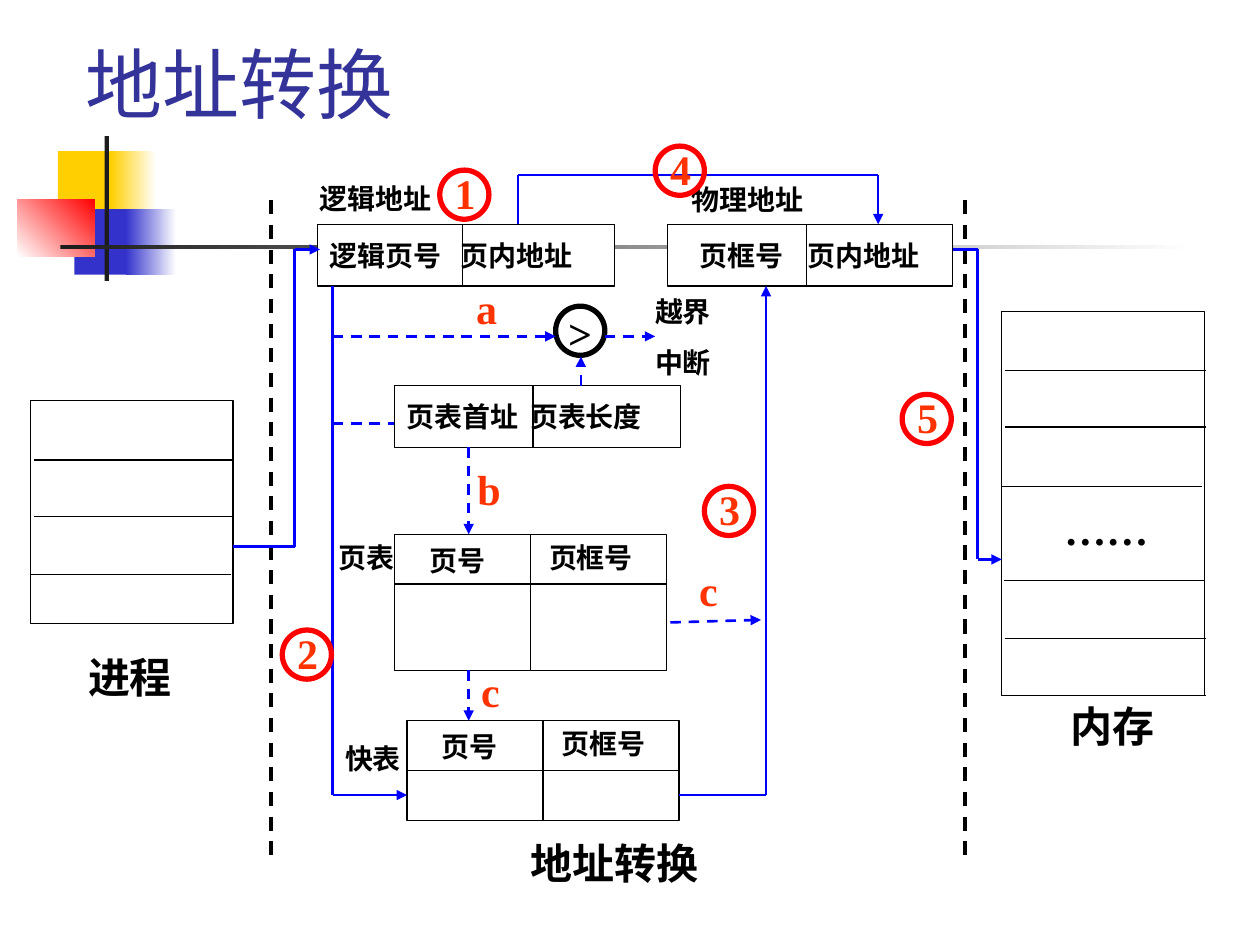
from dataclasses import dataclass

from lxml import etree
from pptx import Presentation
from pptx.dml.color import RGBColor
from pptx.enum.dml import MSO_LINE
from pptx.enum.shapes import MSO_CONNECTOR, MSO_SHAPE
from pptx.enum.text import MSO_ANCHOR, PP_ALIGN
from pptx.oxml.ns import qn
from pptx.util import Inches, Pt

RECT, OVAL = MSO_SHAPE.RECTANGLE, MSO_SHAPE.OVAL
STRAIGHT, DASH = MSO_CONNECTOR.STRAIGHT, MSO_LINE.DASH
LEFT, MIDDLE, BOTTOM = PP_ALIGN.LEFT, MSO_ANCHOR.MIDDLE, MSO_ANCHOR.BOTTOM


@dataclass(frozen=True)
class Theme:
    black: str = "000000"
    white: str = "FFFFFF"
    ink: str = "1C1C1C"
    title: str = "333399"
    yellow: str = "FFCF01"
    indigo: str = "3333CC"
    red: str = "FF0000"
    mark: str = "FF3300"
    flow: str = "0000FF"
    label_font: str = "Noto Sans CJK SC"
    mark_font: str = "Times New Roman"
    title_font: str = "Roboto"
    label_size: int = 16
    mark_size: int = 24
    title_size: int = 44
    thin: float = 0.75
    medium: float = 1.5
    border: float = 2
    ring: float = 3


THEME = Theme()


def cells(count):
    """The page is a grid of 100 columns by 75 rows with square cells."""
    return Inches(count / 10)


def rgb(value):
    return RGBColor.from_string(value)


class Page:
    def __init__(self, deck, theme):
        self.slide = deck.slides.add_slide(deck.slide_layouts[6])
        self.theme = theme

    def shape(self, col, row, width, height, fill=None, line=None,
              weight=THEME.thin, kind=RECT):
        box = self.slide.shapes.add_shape(kind, *map(cells, (col, row, width, height)))
        box.shadow.inherit = False
        if fill:
            box.fill.solid()
            box.fill.fore_color.rgb = rgb(fill)
        else:
            box.fill.background()
        if line:
            box.line.color.rgb = rgb(line)
            box.line.width = Pt(weight)
        else:
            box.line.fill.background()
        return box

    def fade(self, col, row, width, height, start, end, angle=0):
        box = self.shape(col, row, width, height)
        box.fill.gradient()
        box.fill.gradient_angle = angle
        for stop, color in zip(box.fill.gradient_stops, (start, end)):
            stop.color.rgb = rgb(color)

    def frame(self, col, row, width, height):
        return self.shape(col, row, width, height, self.theme.white, self.theme.black)

    def set_text(self, box, lines, size, font, color, bold=True, tab=None):
        box.text_frame.word_wrap = True
        for index, line in enumerate(lines):
            para = box.text_frame.paragraphs[0] if index == 0 else box.text_frame.add_paragraph()
            para.text = line
            para.alignment = LEFT
            if index:
                para.space_before = Pt(10)
            if tab:
                tabs = etree.SubElement(para._p.get_or_add_pPr(), qn("a:tabLst"))
                etree.SubElement(tabs, qn("a:tab"), pos=str(cells(tab)), algn="l")
            para.font.size, para.font.bold = Pt(size), bold
            para.font.name, para.font.color.rgb = font, rgb(color)

    def text_box(self, col, row, width, height):
        return self.slide.shapes.add_textbox(*map(cells, (col, row, width, height)))

    def title(self, text):
        box = self.text_box(5.8, 4.5, 90, 6.2)
        box.text_frame.vertical_anchor = BOTTOM
        self.set_text(box, [text], self.theme.title_size, self.theme.title_font,
                      self.theme.title, bold=False)

    def label(self, col, row, width, *lines):
        height = 3.7 + 4 * (len(lines) - 1)
        self.set_text(self.text_box(col, row, width, height), lines,
                      self.theme.label_size, self.theme.label_font, self.theme.black)

    def mark(self, col, row, text, color=THEME.mark, width=5.1):
        self.set_text(self.text_box(col, row, width, 5), [text],
                      self.theme.mark_size, self.theme.mark_font, color)

    def ring(self, col, row, text):
        self.shape(col, row, 3.9, 3.9, line=self.theme.red,
                   weight=self.theme.ring, kind=OVAL)
        self.mark(col + 0.2, row - 0.7, text)

    def route(self, *points, color=THEME.flow, weight=THEME.medium, dash=False, arrow=True):
        for begin, end in zip(points, points[1:]):
            line = self.slide.shapes.add_connector(STRAIGHT, *map(cells, begin + end))
            line.line.color.rgb = rgb(color)
            line.line.width = Pt(weight)
            if dash:
                line.line.dash_style = DASH
            if arrow and end == points[-1]:
                etree.SubElement(line.line._get_or_add_ln(), qn("a:tailEnd"), type="triangle")
            etree.SubElement(line._element.spPr, qn("a:effectLst"))

    def rule(self, begin, end):
        self.route(begin, end, color=self.theme.black, weight=self.theme.thin, arrow=False)

    def register(self, col, row, width, split, first, second, inset, tab):
        """A two-field register; its second field starts at the tab."""
        box = self.frame(col, row, width, 4.9)
        box.text_frame.vertical_anchor = MIDDLE
        box.text_frame.margin_left = cells(inset)
        self.set_text(box, [f"{first}\t{second}"], self.theme.label_size,
                      self.theme.label_font, self.theme.black, tab=tab)
        self.rule((split, row), (split, row + 4.9))

    def lookup(self, col, row, height):
        """A page lookup table with a header row and two equal columns."""
        half = 10.8
        self.frame(col, row, 2 * half, height)
        self.rule((col, row + 3.95), (col + 2 * half, row + 3.95))
        self.rule((col + half, row), (col + half, row + height))
        self.label(col + 1.8, row + 0.25, 9, "页号")
        self.label(col + half + 0.5, row, 10.3, "页框号")

    def memory(self, col, row, height, rules):
        self.frame(col, row, 16.1, height)
        for shift, level in rules:
            self.rule((col + shift, level), (col + shift + 15.9, level))


def main():
    deck = Presentation()
    deck.slide_width, deck.slide_height = cells(100), cells(75)
    theme = THEME
    page = Page(deck, theme)

    # Corner ornament and title
    page.shape(4.6, 12, 4.8, 5.2, theme.yellow)
    page.fade(8.8, 12, 3.6, 5.2, theme.yellow, theme.white)
    page.shape(5.9, 16.6, 4.6, 5.2, theme.indigo)
    page.fade(10, 16.6, 4, 5.2, theme.indigo, theme.white)
    page.fade(1.4, 15.8, 6.1, 4.6, theme.white, theme.red, angle=45)
    page.shape(8.3, 10.8, 0.35, 11.5, theme.ink)
    page.fade(4.8, 19.45, 90, 0.35, theme.ink, theme.white)
    page.title("地址转换")

    # Borders between process, translation and memory
    for col in (21.5, 76.6):
        page.route((col, 15.9), (col, 68), color=theme.black,
                   weight=theme.border, dash=True, arrow=False)

    # Process and memory
    page.memory(2.4, 31.8, 17.7, [(0.3, 36.5), (0.3, 41), (0, 45.6)])
    page.mark(6, 51.2, "进程", theme.black, 8.9)
    page.memory(79.5, 24.7, 30.5, [(0.3, 29.4), (0.3, 33.9), (0, 38.6),
                                   (0.2, 46.1), (0.3, 50.7), (0.3, 55.2)])
    page.mark(84, 55.1, "内存", theme.black, 8.9)
    page.mark(83.5, 39.5, "……", theme.black, 9.7)

    # Address registers
    page.register(25.2, 17.8, 23.6, 36.7, "逻辑页号", "页内地址", 1, 10.4)
    page.register(53, 17.8, 22.6, 64, "页框号", "页内地址", 2.5, 8.6)
    page.register(31.3, 30.6, 22.7, 42.3, "页表首址", "页表长度", 1, 9.8)
    page.label(24.4, 13.9, 11, "逻辑地址")
    page.label(53.9, 14, 12.9, "物理地址")

    # Page table and fast table
    page.lookup(31.3, 42.4, 10.8)
    page.lookup(32.3, 57.2, 7.9)
    page.label(25.9, 42.4, 6.9, "页表")
    page.label(26.4, 58.4, 6.9, "快表")

    # Bounds check
    page.shape(44.1, 24.3, 3.9, 3.9, line=theme.black, weight=theme.ring, kind=OVAL)
    page.mark(44.1, 23.9, ">", theme.black)
    page.label(51, 22.9, 7.1, "越界", "中断")

    # Solid flow
    page.route((18.5, 43.4), (23.4, 43.4), (23.4, 19.8), (25.4, 19.8))
    page.route((26.4, 22.7), (26.4, 63.1), (32.3, 63.1))
    page.route((53.9, 63.1), (60.8, 63.1), (60.8, 22.7))
    page.route((41.1, 17.8), (41.1, 13.9), (69.7, 13.9), (69.7, 17.8))
    page.route((75.6, 19.8), (77.6, 19.8), (77.6, 44.4), (79.5, 44.4))

    # Dashed flow
    page.route((26.4, 33.6), (31.3, 33.6), dash=True, arrow=False)
    for begin, end in [((26.4, 26.7), (44.1, 26.7)), ((48, 26.7), (52, 26.7)),
                       ((46.1, 30.6), (46.1, 28.3)), ((37.2, 35.5), (37.2, 42.4)),
                       ((37.2, 53.2), (37.2, 57.2)), ((53.2, 49.4), (60.4, 49.2))]:
        page.route(begin, end, dash=True)

    # Step marks
    for col, row, text in [(34.9, 13.5, "1"), (22.4, 50, "2"), (55.9, 38.6, "3"),
                           (52, 11.6, "4"), (71.6, 31.3, "5")]:
        page.ring(col, row, text)
    for col, row, text in [(36.8, 21.9, "a"), (36.9, 36.3, "b"),
                           (37.2, 52.3, "c"), (54.5, 44.3, "c")]:
        page.mark(col, row, text)
    page.mark(41.1, 66, "地址转换", theme.black, 19.7)

    deck.save("out.pptx")


if __name__ == "__main__":
    main()
